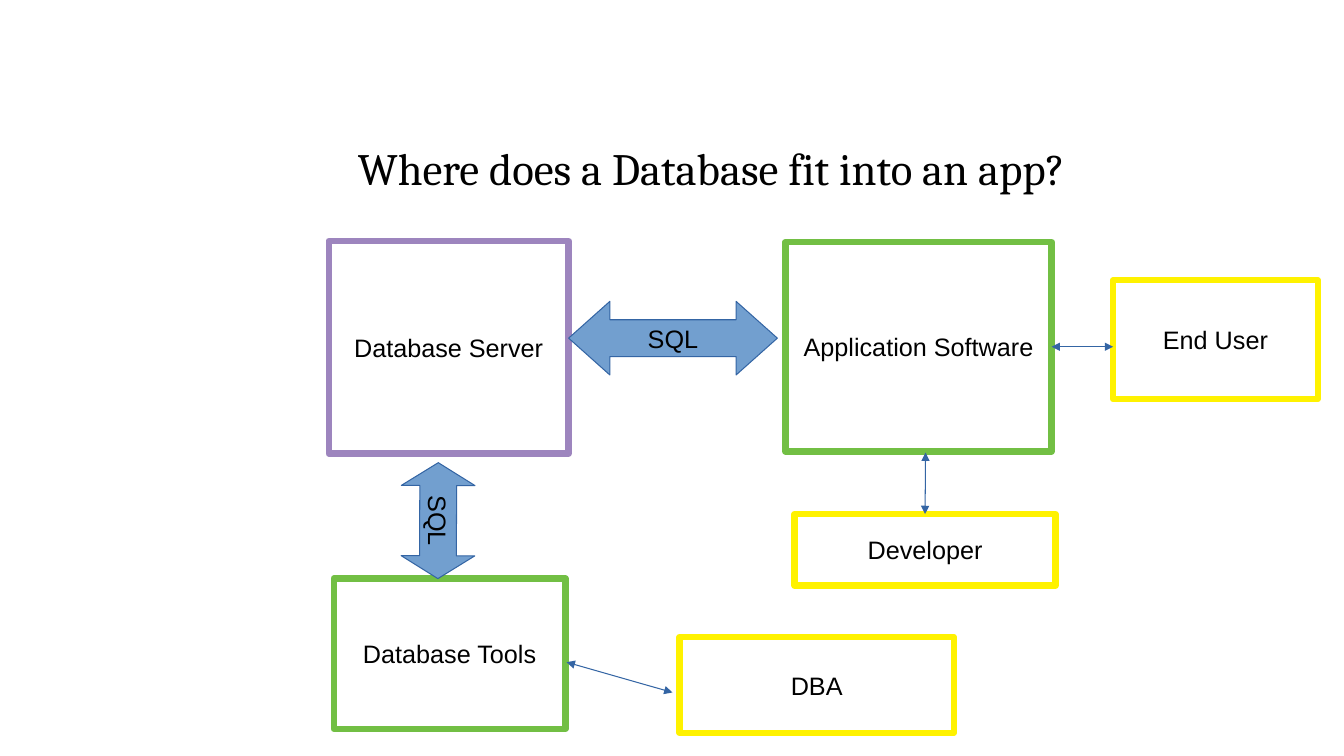
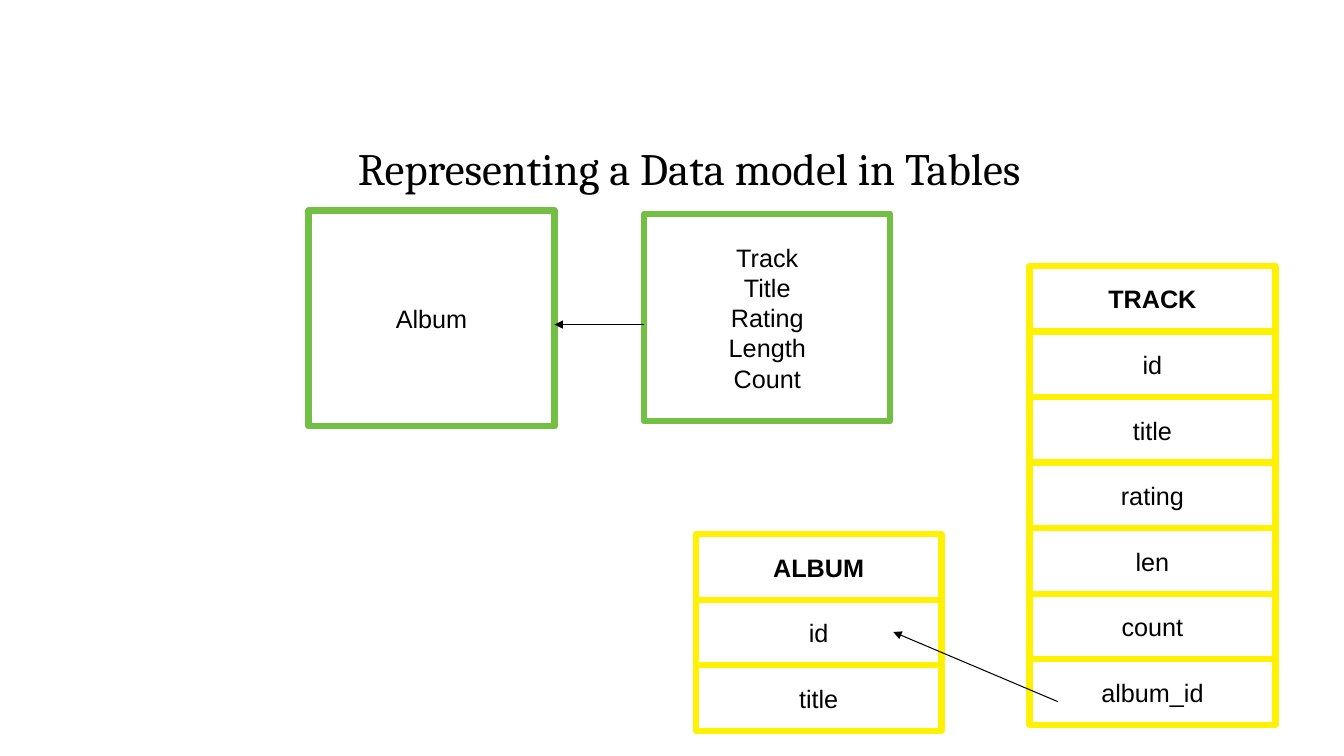
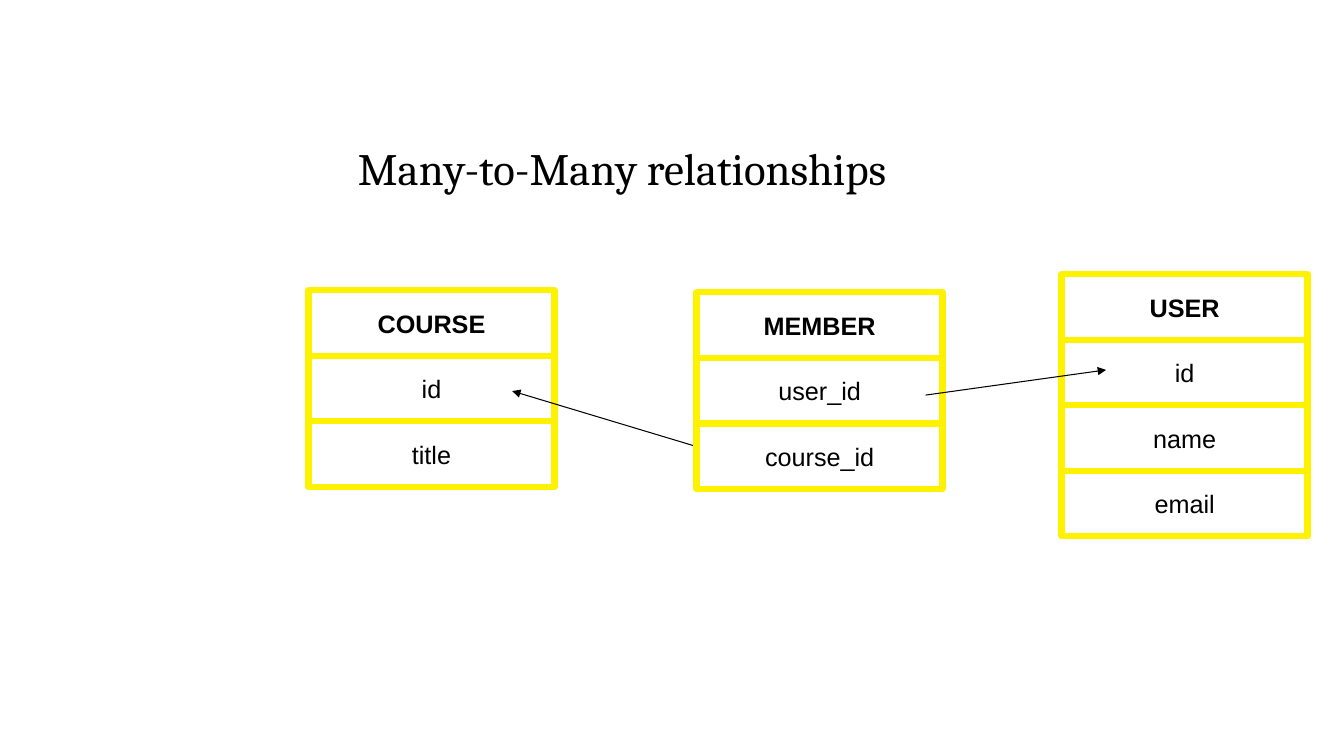
from lxml import etree
from pptx import Presentation
from pptx import util as u
from pptx.dml.color import RGBColor
from pptx.enum import shapes, text
from pptx.oxml import ns

GREEN, YELLOW, PURPLE = "72BF44", "FFF200", "9D85BE"
BLUE, PALE_BLUE = "3465A4", "729FCF"
BLACK, WHITE = "000000", "FFFFFF"
ROW_WIDTH, ROW_HEIGHT, ROW_STEP = 2.44, 0.65, 0.65
color = RGBColor.from_string


def add_box(page, label, place, edge, bold=False, fill=WHITE, width=4.5,
            kind=shapes.MSO_SHAPE.RECTANGLE):
    box = page.shapes.add_shape(kind, *map(u.Inches, place))
    box.shadow.inherit = False
    box.fill.solid()
    box.fill.fore_color.rgb = color(fill)
    box.line.color.rgb = color(edge)
    box.line.width = u.Pt(width)
    frame = box.text_frame
    frame.text = label
    frame.word_wrap = False
    frame.vertical_anchor = text.MSO_ANCHOR.MIDDLE
    for para in frame.paragraphs:
        para.alignment = text.PP_ALIGN.CENTER
        for span in para.runs:
            span.font.name = "Arial"
            span.font.size = u.Pt(18)
            span.font.bold = bold
            span.font.color.rgb = color(BLACK)
    return box


def add_arrow(page, start, end, ink=BLACK, heads=("tailEnd",)):
    arrow = page.shapes.add_connector(
        shapes.MSO_CONNECTOR.STRAIGHT, *map(u.Inches, start + end))
    arrow.line.color.rgb = color(ink)
    arrow.line.width = u.Pt(0.75)
    for head in heads:
        etree.SubElement(arrow.line._get_or_add_ln(), ns.qn("a:" + head), type="triangle")
    etree.SubElement(arrow._element.spPr, ns.qn("a:effectLst"))
    return arrow


deck = Presentation()
deck.slide_width = u.Inches(13.33)
deck.slide_height = u.Inches(7.5)

# Pages with their titles
pages = []
for heading in ("Where does a Database fit into an app?",
                "Representing a Data model in Tables",
                "Many-to-Many relationships"):
    page = deck.slides.add_slide(deck.slide_layouts[5])
    title = page.shapes.title
    title.left, title.top, title.width, title.height = map(
        u.Inches, (3.45, 0.97, 8.28, 1.02))
    frame = title.text_frame
    frame.text = heading
    frame.auto_size = text.MSO_AUTO_SIZE.NONE
    frame.vertical_anchor = text.MSO_ANCHOR.BOTTOM
    para = frame.paragraphs[0]
    para.alignment = text.PP_ALIGN.LEFT
    para.line_spacing = 0.9
    span = para.runs[0]
    span.font.name = "Cambria"
    span.font.size = u.Pt(32)
    span.font.color.rgb = color(BLACK)
    pages.append(page)
app_page, model_page, relation_page = pages

# Application: parts and people
parts = {}
for label, place, edge in (
    ("End User", (11.04, 2.78, 2.03, 1.18), YELLOW),
    ("Application Software", (7.79, 2.4, 2.64, 2.08), GREEN),
    ("Database Server", (3.26, 2.39, 2.38, 2.11), PURPLE),
    ("Database Tools", (3.31, 5.74, 2.3, 1.49), GREEN),
    ("Developer", (7.88, 5.1, 2.59, 0.71), YELLOW),
    ("DBA", (6.74, 6.32, 2.72, 0.95), YELLOW),
):
    parts[label] = add_box(app_page, label, place, edge)

# Application: thin links
both = ("headEnd", "tailEnd")
user_link = add_arrow(app_page, (10.43, 3.44), (11.04, 3.44), BLUE, both)
user_link.begin_connect(parts["Application Software"], 3)
developer_link = add_arrow(app_page, (9.18, 4.49), (9.18, 5.1), BLUE, both)
developer_link.end_connect(parts["Developer"], 0)
add_arrow(app_page, (6.67, 6.87), (5.62, 6.57), BLUE, both)

# Application: SQL block arrows
for place, head_length, angle in (
    ((5.64, 2.99, 2.07, 0.73), 0.56, 0),
    ((3.77, 4.8, 1.15, 0.73), 0.31, 90.2),
):
    sql = add_box(app_page, "SQL", place, BLUE, fill=PALE_BLUE, width=0.75,
                  kind=shapes.MSO_SHAPE.LEFT_RIGHT_ARROW)
    sql.adjustments[0] = 0.5
    sql.adjustments[1] = head_length
    sql.rotation = angle

# Data model: entities
add_box(model_page, "Track\nTitle\nRating\nLength\nCount", (6.39, 2.12, 2.44, 2.06), GREEN)
add_box(model_page, "Album", (3.06, 2.09, 2.44, 2.14), GREEN)

# Tables as stacked boxes, the name in bold on top
course_link = ((7.24, 4.53), (5.08, 3.88))
for page, left, top, rows, link in (
    (model_page, 10.21, 2.64,
     ("TRACK", "id", "title", "rating", "len", "count", "album_id"), None),
    (model_page, 6.9, 5.3, ("ALBUM", "id", "title"), None),
    (relation_page, 10.53, 2.72, ("USER", "id", "name", "email"), None),
    (relation_page, 3.06, 2.88, ("COURSE", "id", "title"), course_link),
    (relation_page, 6.91, 2.9, ("MEMBER", "user_id", "course_id"), None),
):
    for index, label in enumerate(rows):
        place = (left, top + index * ROW_STEP, ROW_WIDTH, ROW_HEIGHT)
        add_box(page, label, place, YELLOW, bold=index == 0)
    if link:  # runs beneath the table that follows
        add_arrow(page, *link)

# Links drawn over the boxes
add_arrow(model_page, (6.39, 3.22), (5.5, 3.22))
add_arrow(model_page, (10.49, 6.96), (8.86, 6.27))
add_arrow(relation_page, (9.18, 3.92), (10.97, 3.67))

deck.save("out.pptx")
